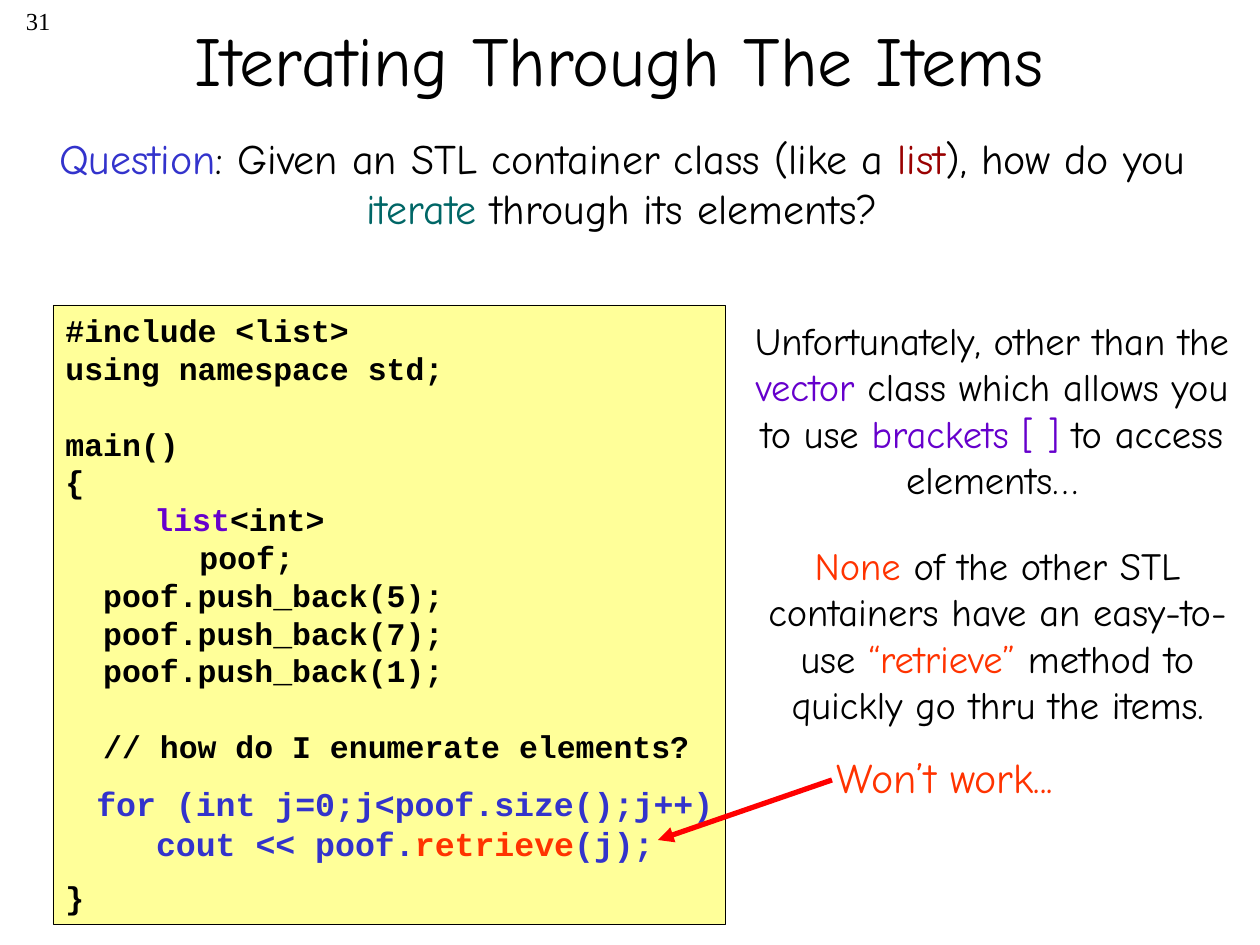
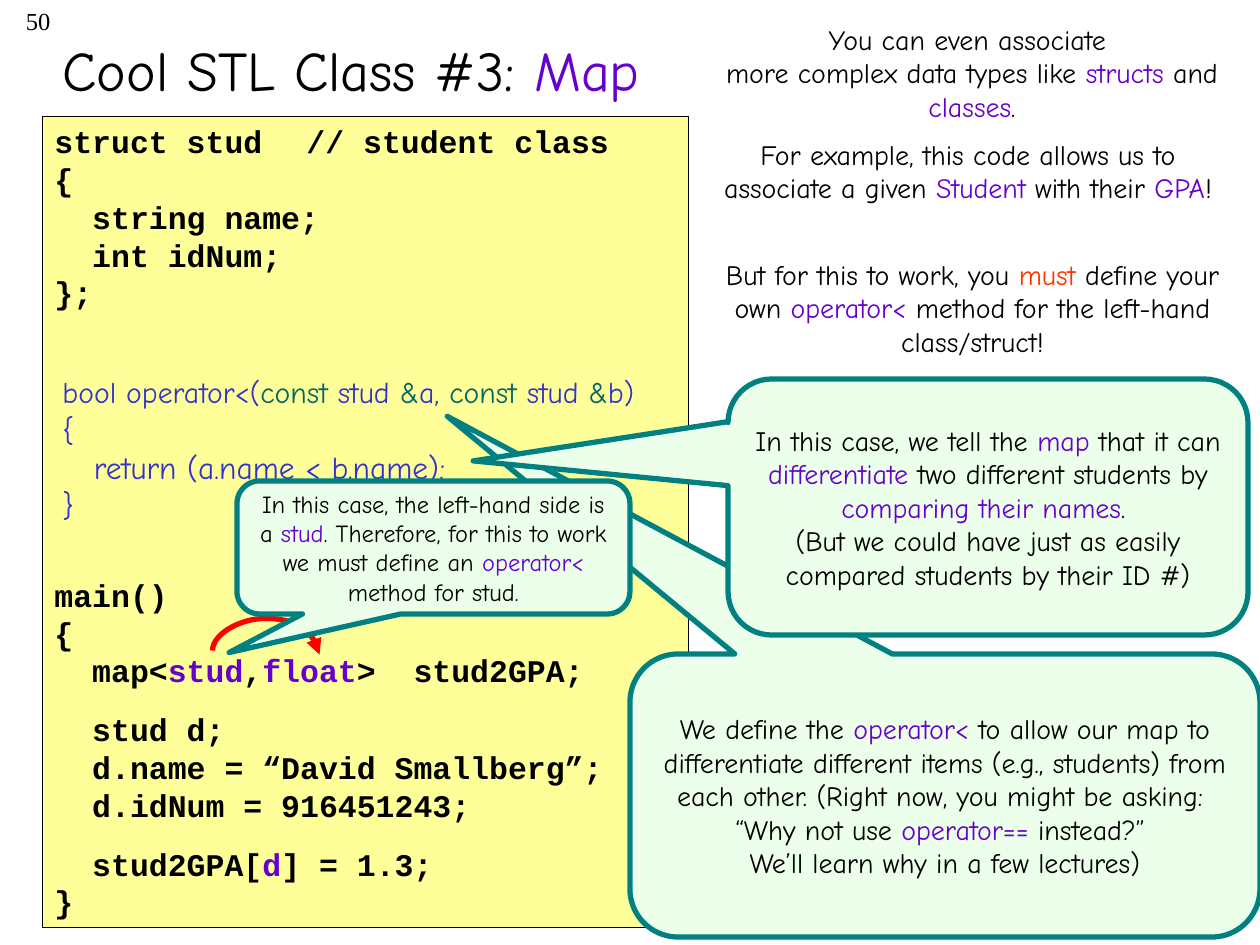
from lxml.etree import SubElement
from pptx import Presentation
from pptx.dml.color import RGBColor
from pptx.enum.shapes import MSO_CONNECTOR as Connector, MSO_SHAPE as Shape
from pptx.enum.text import MSO_ANCHOR as Anchor, MSO_AUTO_SIZE as AutoSize, PP_ALIGN as Align
from pptx.oxml.ns import qn
from pptx.util import Pt

# Shared look
PX = 914400 / 126
BLACK, BLUE, VIOLET, ORANGE = "000000", "3333CC", "6600CC", "FF3300"
MAROON, TEAL, RED = "990000", "006666", "FF0000"
CODE_FILL, CALLOUT_FILL, CALLOUT_LINE = "FFFF99", "EBFFEB", "008080"
COMIC, COURIER, TIMES = "Comic Neue", "Courier New", "Times New Roman"
CODE_LINE = 21.6  # height of one line of code, in points

STYLES = {
    "number": dict(name=TIMES, size=14, color=BLACK, align=Align.RIGHT),
    "title": dict(name=COMIC, size=40, color=BLACK, align=Align.CENTER),
    "left title": dict(name=COMIC, size=32, color=BLACK, align=Align.LEFT),
    "question": dict(name=COMIC, size=24, color=BLACK, align=Align.CENTER),
    "remark": dict(name=COMIC, size=22, color=BLACK, align=Align.CENTER),
    "warning": dict(name=COMIC, size=24, color=ORANGE, align=Align.LEFT),
    "note": dict(name=COMIC, size=16, color=BLACK, align=Align.CENTER),
    "small note": dict(name=COMIC, size=14, color=BLACK, align=Align.CENTER),
    "code": dict(name=COURIER, size=18, color=BLACK, bold=True, align=Align.LEFT),
    "loop": dict(name=COURIER, size=19, color=BLUE, bold=True, align=Align.LEFT),
    "operator": dict(name=COMIC, size=18, color=BLUE, align=Align.LEFT),
}


def line(*runs, gap=0, size=None, hang=0):
    """One paragraph; a run is plain text or (text, colour)."""
    return dict(runs=runs, gap=gap, size=size, hang=hang)


# Content: parts are listed from back to front
ITERATING = dict(
    number="31",
    title=("title", (95, -21, 1071, 158), [line("Iterating Through The Items ")]),
    parts=[
        dict(kind="text", style="question", at=(33, 126, 1178, 113), lines=[
            line(("Question", BLUE), ": Given an STL container class (like a ", ("list", MAROON),
                 "), how do you ", ("iterate", TEAL), " through its elements?")]),
        dict(kind="code", style="code", at=(53, 305, 672, 619), lines=[
            line("#include <list>"),
            line("using namespace std;"),
            line("main()", gap=CODE_LINE),
            line("{"),
            line("  poof.push_back(5);", gap=2 * CODE_LINE),
            line("  poof.push_back(7);"),
            line("  poof.push_back(1);"),
            line("  // how do I enumerate elements?", gap=CODE_LINE),
            line("}", gap=3 * CODE_LINE)]),
        dict(kind="text", style="remark", at=(735, 311, 514, 198), lines=[
            line("Unfortunately, other than the ", ("vector ", VIOLET),
                 "class which allows you to use ", ("brackets [ ]", VIOLET),
                 " to access elements…")]),
        dict(kind="text", style="loop", at=(84, 777, 643, 92), wrap=False, lines=[
            line("for (int j=0;j<poof.size();j++)"),
            line("   cout << poof.", ("retrieve", ORANGE), "(j);")]),
        dict(kind="text", style="warning", at=(824, 745, 278, 63), lines=[
            line("Won’t work...")]),
        dict(kind="arrow", ends=(832, 780, 658, 840)),
        dict(kind="text", style="code", at=(142, 494, 220, 88), lines=[
            line(("list", VIOLET), "<int> poof;", hang=45)]),
        dict(kind="text", style="remark", at=(735, 536, 525, 198), lines=[
            line(("None", ORANGE), " of the other STL containers have an easy-to-use ",
                 ("“retrieve”", ORANGE), " method to quickly go thru the items.")]),
    ])

MAP = dict(
    number="50",
    title=("left title", (50, -10, 1071, 158), [line("Cool STL Class #3: ", ("Map", VIOLET))]),
    parts=[
        dict(kind="text", style="note", at=(694, 131, 548, 115), lines=[
            line("For example, this code allows us to associate a given ", ("Student", VIOLET),
                 " with their ", ("GPA", VIOLET), "!")]),
        dict(kind="text", style="note", at=(696, 16, 552, 115), lines=[
            line("You can even associate \nmore complex data types like ", ("structs", VIOLET),
                 " and ", ("classes", VIOLET), ".")]),
        dict(kind="code", style="code", at=(42, 116, 646, 811), lines=[
            line("struct stud\t// student class"),
            line("{"),
            line("  string name;"),
            line("  int idNum;"),
            line("};"),
            line("main()", gap=7 * CODE_LINE),
            line("{"),
            line("  map<", ("stud", VIOLET), ",", ("float", VIOLET), ">  stud2GPA;"),
            line("  stud d;", gap=12),
            line("  d.name = “David Smallberg”;"),
            line("  d.idNum = 916451243;"),
            line("  stud2GPA[", ("d", VIOLET), "] = 1.3;", gap=12),
            line("}")]),
        dict(kind="text", style="operator", at=(50, 368, 708, 161), lines=[
            line("bool operator<(", ("const", TEAL), " stud ", ("&", TEAL), "a, ",
                 ("const", TEAL), " stud ", ("&", TEAL), "b)", size=17),
            line("{"),
            line("   return (a.name < b.name);"),
            line("}")]),
        dict(kind="text", style="note", at=(704, 251, 537, 115), lines=[
            line("But for this to work, you ", ("must", ORANGE), " define your own ",
                 ("operator<", VIOLET), " method for the left-hand class/struct!")]),
        # The curve is laid on its side and turned a quarter
        dict(kind="arrow", ends=(264, 706, 268, 599), bend=-8),
        dict(kind="callout", style="note", at=(630, 654, 630, 283), tip=(-0.79, -1.34), lines=[
            line("We define the ", ("operator<", VIOLET),
                 " to allow our map to differentiate different items (e.g., students) from each "
                 "other. (Right now, you might be asking: \n“Why not use ",
                 ("operator==", VIOLET), " instead?” \nWe’ll learn why in a few lectures)")]),
        dict(kind="callout", style="small note", at=(237, 481, 393, 133), tip=(-0.52, 0.79), lines=[
            line("In this case, the left-hand side is a ", ("stud", VIOLET),
                 ". Therefore, for this to work we must define an ", ("operator<", VIOLET),
                 " method for stud.")]),
        dict(kind="callout", style="note", at=(728, 379, 520, 256), tip=(-0.99, -0.18), lines=[
            line("In this case, we tell the ", ("map", VIOLET), " that it can ",
                 ("differentiate", VIOLET), " two different students by ",
                 ("comparing their names", VIOLET), ". "),
            line("(But we could have just as easily compared students by their ID #)")]),
    ])


# Helpers
def rgb(value):
    return RGBColor.from_string(value)


def emu(*lengths):
    return [round(length * PX) for length in lengths]


def set_all(target, values):
    for name, value in values.items():
        setattr(target, name, value)


def add_run(paragraph, text, style, size, color):
    for index, piece in enumerate(text.split("\n")):
        if index:
            paragraph.add_line_break()
            SubElement(paragraph._p[-1], qn("a:rPr"), sz=str(size * 100))
        run = paragraph.add_run()
        run.text = piece
        set_all(run.font, dict(name=style["name"], size=Pt(size), bold=style.get("bold", False)))
        run.font.color.rgb = rgb(color)


def write(shape, style_name, lines, anchor=Anchor.TOP, wrap=True):
    style = STYLES[style_name]
    frame = shape.text_frame
    set_all(frame, dict(word_wrap=wrap, auto_size=AutoSize.NONE, vertical_anchor=anchor))
    for index, item in enumerate(lines):
        paragraph = frame.add_paragraph() if index else frame.paragraphs[0]
        paragraph.alignment = style["align"]
        if item["gap"]:
            paragraph.space_before = Pt(item["gap"])
        if item["hang"]:
            hang, = emu(item["hang"])
            properties = paragraph._p.get_or_add_pPr()
            properties.set("marL", str(hang))
            properties.set("indent", str(-hang))
        for run in item["runs"]:
            text, color = (run, style["color"]) if isinstance(run, str) else run
            add_run(paragraph, text, style, item["size"] or style["size"], color)


def add_text(slide, at, style, lines, wrap=True):
    write(slide.shapes.add_textbox(*emu(*at)), style, lines, wrap=wrap)


def add_panel(slide, preset, at, fill, outline, width):
    shape = slide.shapes.add_shape(preset, *emu(*at))
    shape.shadow.inherit = False
    shape.fill.solid()
    shape.fill.fore_color.rgb = rgb(fill)
    shape.line.color.rgb = rgb(outline)
    shape.line.width = Pt(width)
    return shape


def add_code(slide, at, style, lines):
    write(add_panel(slide, Shape.RECTANGLE, at, CODE_FILL, BLACK, 0.25), style, lines)


def add_callout(slide, at, style, lines, tip):
    shape = add_panel(slide, Shape.ROUNDED_RECTANGULAR_CALLOUT, at,
                      CALLOUT_FILL, CALLOUT_LINE, 3)
    for index, value in enumerate((*tip, 0.17)):
        shape.adjustments[index] = value
    write(shape, style, lines, anchor=Anchor.MIDDLE)


def add_arrow(slide, ends, bend=None):
    kind = Connector.CURVE if bend else Connector.STRAIGHT
    connector = slide.shapes.add_connector(kind, *emu(*ends))
    connector.line.color.rgb = rgb(RED)
    connector.line.width = Pt(3)
    properties = connector._element.spPr
    SubElement(properties.find(qn("a:ln")), qn("a:tailEnd"), type="triangle")
    SubElement(properties, qn("a:effectLst"))
    if bend:
        properties.find(qn("a:xfrm")).set("rot", str(90 * 60000))
        guides = properties.find(qn("a:prstGeom")).find(qn("a:avLst"))
        SubElement(guides, qn("a:gd"), name="adj1", fmla=f"val {bend * 100000}")


BUILDERS = dict(text=add_text, code=add_code, callout=add_callout, arrow=add_arrow)


def add_slide(presentation, content):
    slide = presentation.slides.add_slide(presentation.slide_layouts[5])
    style, at, lines = content["title"]
    title = slide.shapes.title
    set_all(title, dict(zip(("left", "top", "width", "height"), emu(*at))))
    write(title, style, lines, anchor=Anchor.MIDDLE)
    add_text(slide, (0, 0, 63, 63), "number", [line(content["number"])])
    for part in content["parts"]:
        options = {key: value for key, value in part.items() if key != "kind"}
        BUILDERS[part["kind"]](slide, **options)


def main():
    presentation = Presentation()
    presentation.slide_width, presentation.slide_height = emu(1260, 945)
    for content in (ITERATING, MAP):
        add_slide(presentation, content)
    presentation.save("out.pptx")


if __name__ == "__main__":
    main()
